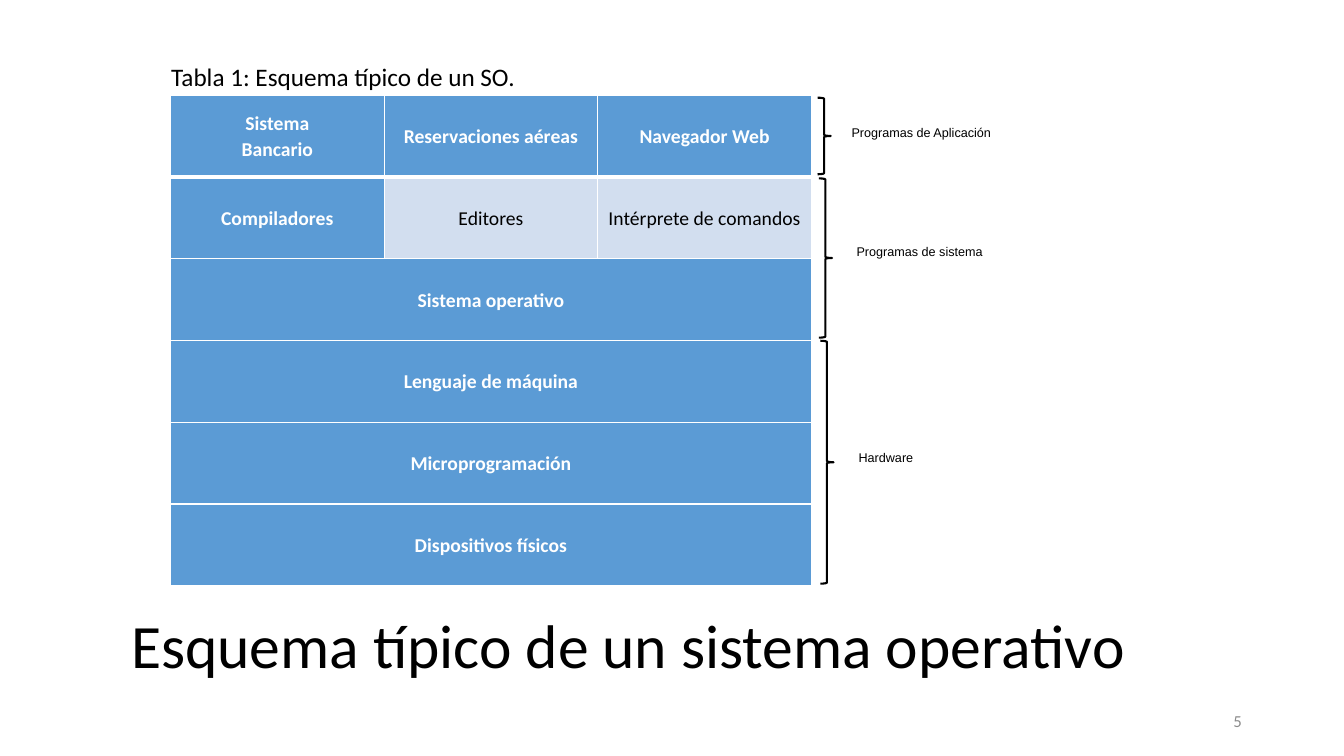
from dataclasses import dataclass

from lxml.etree import SubElement
from pptx import Presentation
from pptx.dml.color import RGBColor
from pptx.enum.shapes import MSO_SHAPE
from pptx.enum.text import MSO_ANCHOR, MSO_AUTO_SIZE, PP_ALIGN
from pptx.oxml.ns import qn
from pptx.util import Pt


@dataclass(frozen=True)
class Theme:
    heading_font: str = "Calibri"
    label_font: str = "Arial"
    title_size: float = 44
    caption_size: float = 18
    cell_size: float = 14
    number_size: float = 12
    label_size: float = 9
    black: str = "000000"
    white: str = "FFFFFF"
    gray: str = "8C8C8C"
    blue: str = "5B9BD5"
    pale_blue: str = "D2DEEF"


def apply_format(target, values):
    for name, value in values.items():
        setattr(target, name, value)


def points(*lengths):
    return [Pt(length) for length in lengths]


class SlideBuilder:
    def __init__(self, page, theme):
        self.page = page
        self.theme = theme

    def fill_text(self, frame, text, font, size, color, bold=False, **paragraph_format):
        """Fill a text frame, one paragraph per line of text."""
        for index, line in enumerate(text.split("\n")):
            para = frame.add_paragraph() if index else frame.paragraphs[0]
            apply_format(para, paragraph_format)
            span = para.add_run()
            span.text = line
            apply_format(span.font, {"name": font, "size": Pt(size), "bold": bold})
            span.font.color.rgb = RGBColor.from_string(color)

    def title(self, text, left, top, width, height):
        box = self.page.shapes.title
        apply_format(box, dict(zip(("left", "top", "width", "height"),
                                   points(left, top, width, height))))
        apply_format(box.text_frame, {"vertical_anchor": MSO_ANCHOR.MIDDLE,
                                      "word_wrap": True,
                                      "auto_size": MSO_AUTO_SIZE.NONE})
        self.fill_text(box.text_frame, text, self.theme.heading_font,
                       self.theme.title_size, self.theme.black,
                       alignment=PP_ALIGN.LEFT, line_spacing=0.9)

    def text(self, text, bounds, size, color, alignment=PP_ALIGN.LEFT, **frame_format):
        box = self.page.shapes.add_textbox(*points(*bounds))
        apply_format(box.text_frame, frame_format)
        self.fill_text(box.text_frame, text, self.theme.heading_font, size, color,
                       alignment=alignment)

    def shape(self, kind, bounds, line_color, line_width, fill_color=None):
        shape = self.page.shapes.add_shape(kind, *points(*bounds))
        shape.shadow.inherit = False
        shape.line.color.rgb = RGBColor.from_string(line_color)
        shape.line.width = Pt(line_width)
        if fill_color:
            shape.fill.solid()
            shape.fill.fore_color.rgb = RGBColor.from_string(fill_color)
        else:
            shape.fill.background()
        return shape

    def brace(self, *bounds):
        self.shape(MSO_SHAPE.RIGHT_BRACE, bounds, self.theme.black, 1.5)

    def label(self, text, *bounds):
        white = self.theme.white
        box = self.shape(MSO_SHAPE.RECTANGLE, bounds, white, 0.5, white)
        apply_format(box.text_frame, {"vertical_anchor": MSO_ANCHOR.TOP,
                                      "word_wrap": True})
        self.fill_text(box.text_frame, text, self.theme.label_font,
                       self.theme.label_size, self.theme.black,
                       alignment=PP_ALIGN.LEFT, line_spacing=1.07, space_after=Pt(8))

    def borders(self, cell, widths):
        properties = cell._tc.get_or_add_tcPr()
        for side, width in widths.items():
            line = SubElement(properties, qn(f"a:ln{side}"), w=str(Pt(width)))
            fill = SubElement(line, qn("a:solidFill"))
            SubElement(fill, qn("a:srgbClr"), val=self.theme.white)

    def cell(self, cell, text, plain, widths):
        theme = self.theme
        self.borders(cell, widths)
        cell.fill.solid()
        cell.fill.fore_color.rgb = RGBColor.from_string(
            theme.pale_blue if plain else theme.blue)
        apply_format(cell, {"margin_left": Pt(5), "margin_right": Pt(5),
                            "margin_top": 0, "margin_bottom": 0,
                            "vertical_anchor": MSO_ANCHOR.MIDDLE})
        if text:
            self.fill_text(cell.text_frame, text, theme.heading_font, theme.cell_size,
                           theme.black if plain else theme.white, not plain,
                           alignment=PP_ALIGN.CENTER, line_spacing=1.07)

    def table(self, rows, left, top, column_width, row_height):
        """Draw the layers; a row with a single text spans every column."""
        columns = max(map(len, rows))
        table = self.page.shapes.add_table(len(rows), columns, *points(
            left, top, column_width * columns, row_height * len(rows))).table
        for column in table.columns:
            column.width = Pt(column_width)
        for row_index, texts in enumerate(rows):
            table.rows[row_index].height = Pt(row_height)
            widths = {"L": 1, "R": 1, "T": 3 if row_index == 1 else 1,
                      "B": 3 if row_index == 0 else 1}
            if len(texts) == 1:
                table.cell(row_index, 0).merge(table.cell(row_index, columns - 1))
            for column_index in range(columns):
                text = texts[column_index] if column_index < len(texts) else ""
                plain = row_index == 1 and column_index > 0
                self.cell(table.cell(row_index, column_index), text, plain, widths)


LAYERS = [
    ["Sistema\nBancario", "Reservaciones aéreas", "Navegador Web"],
    ["Compiladores", "Editores", "Intérprete de comandos"],
    ["Sistema operativo"],
    ["Lenguaje de máquina"],
    ["Microprogramación"],
    ["Dispositivos físicos"],
]
# Brace bounds, then label text and bounds
GROUPS = [
    ((584, 69.8, 9.4, 54.7), "Programas de Aplicación", (601.2, 85, 197.3, 33.8)),
    ((584.9, 127.4, 9.4, 113.8), "Programas de sistema", (604.8, 170, 182.2, 28)),
    ((586, 243.4, 9.4, 173.5), "Hardware", (606.2, 316.8, 92.2, 28)),
]


def main():
    deck = Presentation()
    deck.slide_width, deck.slide_height = points(960, 540)
    page = deck.slides.add_slide(deck.slide_layouts[5])
    theme = Theme()
    builder = SlideBuilder(page, theme)

    builder.title("Esquema típico de un sistema operativo", 86.4, 411.1, 828, 104.4)
    builder.table(LAYERS, 121.8, 68, 152.6, 58.4)
    builder.text("5", (678.2, 500.4, 216, 28.8), theme.number_size, theme.gray,
                 PP_ALIGN.RIGHT, vertical_anchor=MSO_ANCHOR.MIDDLE, word_wrap=True)
    for brace_bounds, text, label_bounds in GROUPS:
        builder.brace(*brace_bounds)
        builder.label(text, *label_bounds)
    builder.text("Tabla 1: Esquema típico de un SO.", (115.2, 40.6, 263.5, 29),
                 theme.caption_size, theme.black, word_wrap=False,
                 auto_size=MSO_AUTO_SIZE.SHAPE_TO_FIT_TEXT)
    deck.save("out.pptx")


if __name__ == "__main__":
    main()
